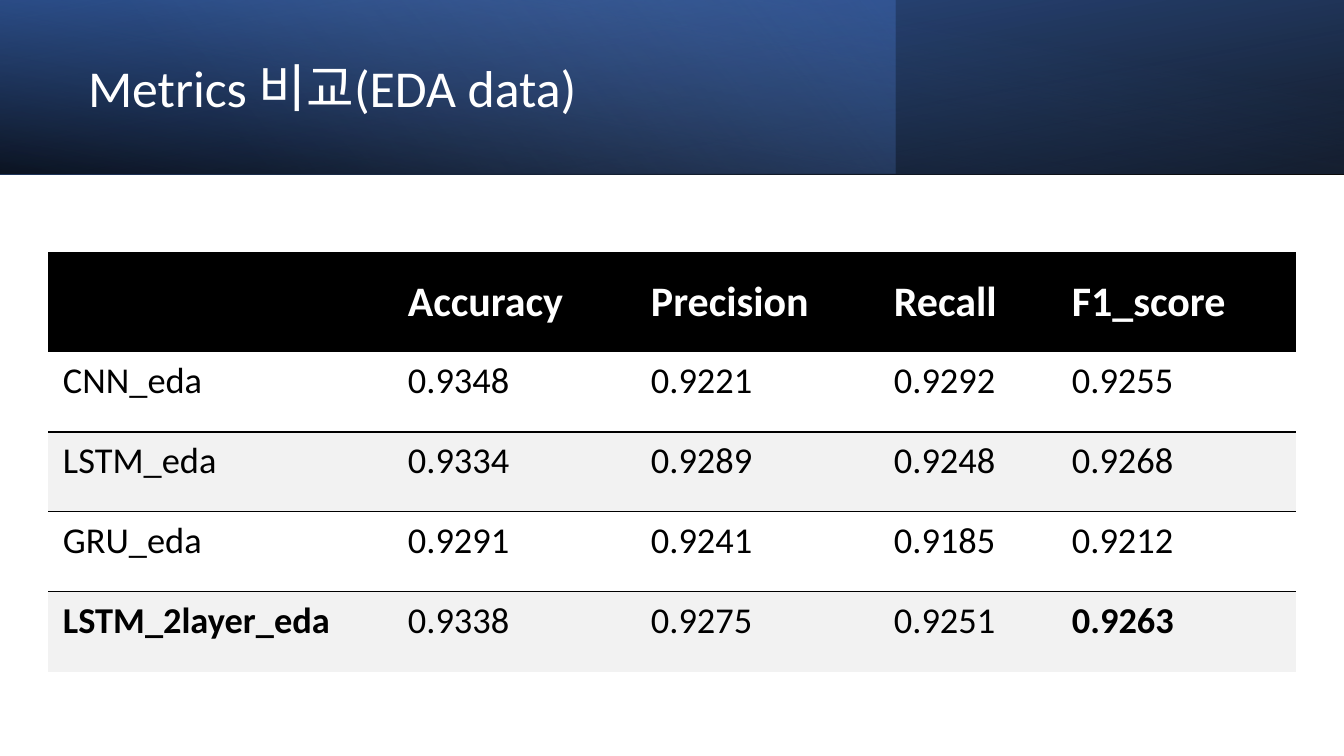
from dataclasses import dataclass
from typing import Any

from lxml import etree
from pptx import Presentation
from pptx import util as u
from pptx.dml.color import RGBColor
from pptx.enum import shapes, text
from pptx.oxml import parse_xml
from pptx.oxml.ns import nsdecls, qn

SCALE = 914400 / 100.8
BLACK = RGBColor(0x00, 0x00, 0x00)
WHITE = RGBColor(0xFF, 0xFF, 0xFF)
GREY = RGBColor(0xF2, 0xF2, 0xF2)
NAVY = RGBColor(0x2F, 0x55, 0x97)
BLUE = RGBColor(0x44, 0x72, 0xC4)
PALE = RGBColor(0x8F, 0xAA, 0xDC)
FACE = "Calibri"
PLAIN = "{2D5ABB26-0587-4C30-8999-92F81FD0307C}"


@dataclass(frozen=True)
class Stop:
    place: int
    color: RGBColor
    alpha: int = 100


@dataclass(frozen=True)
class Band:
    width: int
    angle: int
    stops: tuple[Stop, ...]
    flip: bool = False
    turn: int = 0


BANDS = (
    Band(1344, 100, (Stop(0, BLACK, 96), Stop(100, NAVY)), True, 180),
    Band(896, 140, (Stop(0, BLUE, 41), Stop(74, PALE, 0))),
    Band(1344, 260, (Stop(0, BLACK, 63), Stop(78, BLUE, 15)), True),
)
BAND_H = 174
COLS = (345, 243, 243, 178, 239)
ROWS = (100, 80, 80, 80, 80)
DATA = (
    ("", "Accuracy", "Precision", "Recall", "F1_score"),
    ("CNN_eda", "0.9348", "0.9221", "0.9292", "0.9255"),
    ("LSTM_eda", "0.9334", "0.9289", "0.9248", "0.9268"),
    ("GRU_eda", "0.9291", "0.9241", "0.9185", "0.9212"),
    ("LSTM_2layer_eda", "0.9338", "0.9275", "0.9251", "0.9263"),
)
BOLD = {"LSTM_2layer_eda", "0.9263"}


def px(size: int) -> u.Emu:
    return u.Emu(round(size * SCALE))


def apply(item: Any, form: dict[str, Any]) -> None:
    for key, value in form.items():
        setattr(item, key, value)


def style(font: Any, color: RGBColor, size: int, bold: bool) -> None:
    apply(font, {"name": FACE, "size": u.Pt(size), "bold": bold})
    font.color.rgb = color


def draw_band(slide: Any, band: Band) -> None:
    shape = slide.shapes.add_shape(
        shapes.MSO_SHAPE.RECTANGLE, 0, 0, px(band.width), px(BAND_H))
    shape.shadow.inherit = False
    shape.line.fill.background()
    shape.rotation = band.turn
    props = shape._element.spPr
    if band.flip:
        props.find(qn("a:xfrm")).set("flipH", "1")
    stops = "".join(
        f'<a:gs pos="{stop.place * 1000}"><a:srgbClr val="{stop.color}">'
        f'<a:alpha val="{stop.alpha * 1000}"/></a:srgbClr></a:gs>'
        for stop in band.stops)
    fill = parse_xml(
        f'<a:gradFill {nsdecls("a")} rotWithShape="1"><a:gsLst>{stops}</a:gsLst>'
        f'<a:lin ang="{band.angle * 60000}" scaled="0"/></a:gradFill>')
    props.find(qn("a:prstGeom")).addnext(fill)


def draw_title(slide: Any) -> None:
    title = slide.shapes.title
    apply(title, {"left": px(78), "top": px(27),
                  "width": px(778), "height": px(128)})
    slide.shapes._spTree.append(title._element)
    frame = title.text_frame
    frame.text = "Metrics 비교(EDA data)"
    apply(frame, {"vertical_anchor": text.MSO_ANCHOR.MIDDLE,
                  "auto_size": text.MSO_AUTO_SIZE.NONE, "word_wrap": True})
    para = frame.paragraphs[0]
    apply(para, {"alignment": text.PP_ALIGN.LEFT, "line_spacing": 0.9})
    style(para.runs[0].font, WHITE, 37, False)


def draw_edge(cell: Any, side: str) -> None:
    props = cell._tc.get_or_add_tcPr()
    props.insert(0, parse_xml(
        f'<a:{side} {nsdecls("a")} w="{u.Pt(1)}"><a:solidFill>'
        f'<a:srgbClr val="{BLACK}"/></a:solidFill></a:{side}>'))


def draw_cell(cell: Any, row: int, word: str) -> None:
    head, even = row == 0, row % 2 == 0
    cell.text = word
    apply(cell, {
        "margin_left": px(15), "margin_right": px(11),
        "margin_top": px(21 if head else 7), "margin_bottom": px(21),
        "vertical_anchor":
            text.MSO_ANCHOR.MIDDLE if head else text.MSO_ANCHOR.TOP})
    style(cell.text_frame.paragraphs[0].font, WHITE if head else BLACK,
          30 if head else 26, head or word in BOLD)
    if even:
        cell.fill.solid()
        cell.fill.fore_color.rgb = BLACK if head else GREY
    else:
        cell.fill.background()
    if not head:
        draw_edge(cell, "lnT" if even else "lnB")


def draw_table(slide: Any) -> None:
    frame = slide.shapes.add_table(
        len(ROWS), len(COLS), px(48), px(252), px(sum(COLS)), px(sum(ROWS)))
    table = frame.table
    apply(table, {"first_row": False, "horz_banding": False})
    table._tbl.tblPr.find(qn("a:tableStyleId")).text = PLAIN
    for col, width in zip(table.columns, COLS):
        col.width = px(width)
    for row, high in zip(table.rows, ROWS):
        row.height = px(high)
    for i, words in enumerate(DATA):
        for j, word in enumerate(words):
            draw_cell(table.cell(i, j), i, word)


def main() -> None:
    deck = Presentation()
    apply(deck, {"slide_width": px(1344), "slide_height": px(756)})
    slide = deck.slides.add_slide(deck.slide_layouts[5])
    for band in BANDS:
        draw_band(slide, band)
    draw_title(slide)
    draw_table(slide)
    deck.save("out.pptx")


if __name__ == "__main__":
    main()
